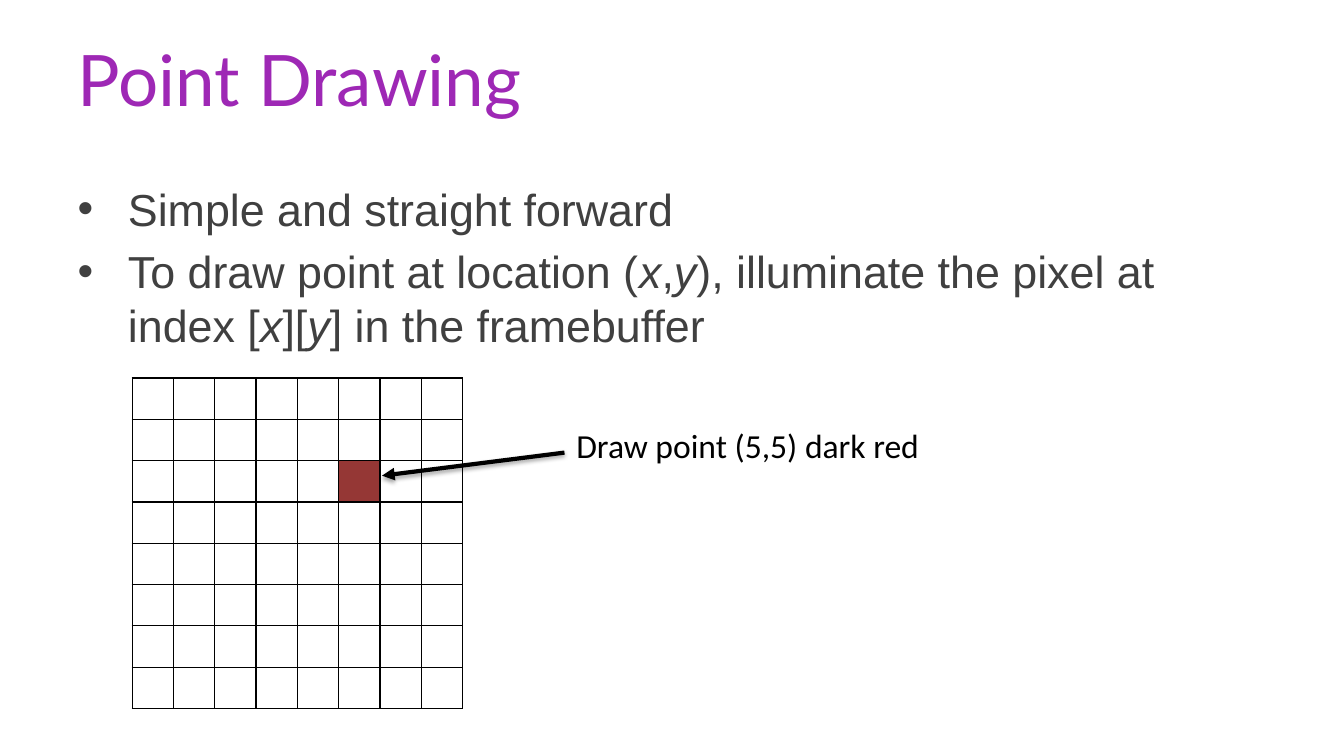
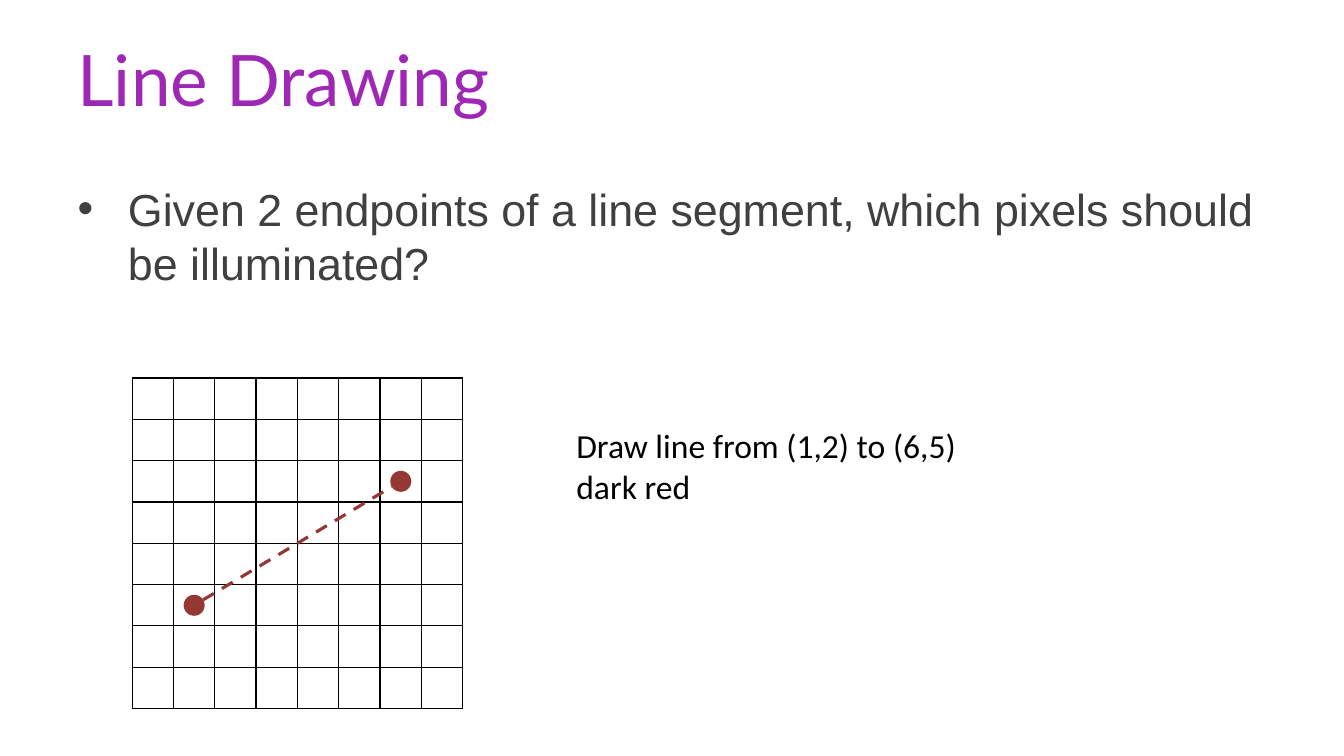
import math

from lxml import etree
from pptx import Presentation
from pptx.dml.color import RGBColor
from pptx.enum.dml import MSO_LINE
from pptx.enum.shapes import MSO_CONNECTOR, MSO_SHAPE
from pptx.enum.text import MSO_ANCHOR, MSO_AUTO_SIZE, PP_ALIGN
from pptx.oxml import parse_xml
from pptx.oxml.ns import nsdecls, qn
from pptx.util import Pt

STRAIGHT = MSO_CONNECTOR.STRAIGHT
OVAL = MSO_SHAPE.OVAL
DASH = MSO_LINE.DASH
TOP = MSO_ANCHOR.TOP
LEFT = PP_ALIGN.LEFT
NO_FIT = MSO_AUTO_SIZE.NONE
GROW = MSO_AUTO_SIZE.SHAPE_TO_FIT_TEXT

COLORS = {"title": "9E28B5", "body": "404040", "ink": "000000", "mark": "953735"}
FONTS = {"title": "Lato", "body": "Arial", "label": "Calibri"}
TITLE_BOX = (48.2, 21.6, 864, 90)
BODY_BOX = (48.2, 126, 864, 356.4)
INDENT = 36

GRID_LEFT, GRID_TOP = 94.4, 270
GRID_COUNT, CELL = 8, 29.52
DOT = 15


def rgb(name):
    return RGBColor.from_string(COLORS[name])


def pixel_row(y):
    """Table row of a pixel, as y counts up from the bottom."""
    return GRID_COUNT - 1 - y


def pixel_center(x, y):
    return GRID_LEFT + (x + 0.5) * CELL, GRID_TOP + (pixel_row(y) + 0.5) * CELL


class Deck:
    def __init__(self):
        self.presentation = Presentation()
        self.presentation.slide_width = Pt(960)
        self.presentation.slide_height = Pt(540)
        self.slide = None

    def add_slide(self, title, bullets):
        layout = self.presentation.slide_layouts[1]
        self.slide = self.presentation.slides.add_slide(layout)
        title_frame = self.place(self.slide.shapes.title, TITLE_BOX)
        title_frame.text = title
        paragraph = title_frame.paragraphs[0]
        paragraph.alignment = LEFT
        self.style_font(paragraph.runs[0].font, "title", 50.7, "title")

        body_frame = self.place(self.slide.placeholders[1], BODY_BOX)
        for index, text in enumerate(bullets):
            paragraph = body_frame.add_paragraph() if index else body_frame.paragraphs[0]
            self.bullet(paragraph, text)

    def place(self, placeholder, box):
        placeholder.left, placeholder.top, placeholder.width, placeholder.height = map(Pt, box)
        frame = placeholder.text_frame
        frame.vertical_anchor = TOP
        frame.auto_size = NO_FIT
        return frame

    def style_font(self, font, face, size, color):
        font.name = FONTS[face]
        font.size = Pt(size)
        font.color.rgb = rgb(color)

    def bullet(self, paragraph, text):
        """Fill a list paragraph; parts between asterisks are italic."""
        for index, part in enumerate(text.split("*")):
            run = paragraph.add_run()
            run.text = part
            run.font.italic = index % 2 == 1
            self.style_font(run.font, "body", 32, "body")
        paragraph.space_before = Pt(6.4)
        properties = paragraph._p.get_or_add_pPr()
        properties.set("marL", str(Pt(INDENT)))
        properties.set("indent", str(-Pt(INDENT)))
        etree.SubElement(properties, qn("a:buFont")).set("typeface", "Arial")
        etree.SubElement(properties, qn("a:buChar")).set("char", "•")

    def pixel_grid(self, lit=()):
        """Draw the framebuffer, with the (x, y) pixels in lit filled."""
        side = Pt(GRID_COUNT * CELL)
        table = self.slide.shapes.add_table(
            GRID_COUNT, GRID_COUNT, Pt(GRID_LEFT), Pt(GRID_TOP), side, side).table
        table.first_row = table.horz_banding = False
        for column in table.columns:
            column.width = Pt(CELL)
        for row in table.rows:
            row.height = Pt(CELL)
        for cell in table.iter_cells():
            self.cell_borders(cell)
            cell.fill.background()
        for x, y in lit:
            fill = table.cell(pixel_row(y), x).fill
            fill.solid()
            fill.fore_color.rgb = rgb("mark")

    def cell_borders(self, cell):
        properties = cell._tc.get_or_add_tcPr()
        for side in "LRTB":
            properties.append(parse_xml(
                f'<a:ln{side} {nsdecls("a")} w="{Pt(1)}"><a:solidFill>'
                f'<a:srgbClr val="{COLORS["ink"]}"/></a:solidFill></a:ln{side}>'))

    def dot(self, center):
        x, y = center
        shape = self.slide.shapes.add_shape(
            OVAL, Pt(x - DOT / 2), Pt(y - DOT / 2), Pt(DOT), Pt(DOT))
        shape.shadow.inherit = False
        shape.fill.solid()
        shape.fill.fore_color.rgb = rgb("mark")
        shape.line.fill.background()

    def line(self, start, end, color, width):
        connector = self.slide.shapes.add_connector(STRAIGHT, *map(Pt, (*start, *end)))
        connector.line.color.rgb = rgb(color)
        connector.line.width = Pt(width)
        effects = etree.SubElement(connector._element.spPr, qn("a:effectLst"))
        return connector, effects

    def arrow(self, start, end):
        """Draw a black arrow with a soft shadow below it."""
        connector, effects = self.line(start, end, "ink", 3)
        outline = connector.line._get_or_add_ln()
        etree.SubElement(outline, qn("a:tailEnd")).set("type", "triangle")
        effects.append(parse_xml(
            f'<a:outerShdw {nsdecls("a")} blurRad="{Pt(3.1)}" dist="{Pt(1.8)}" '
            f'dir="5400000" rotWithShape="0"><a:srgbClr val="{COLORS["ink"]}">'
            '<a:alpha val="35000"/></a:srgbClr></a:outerShdw>'))

    def segment(self, first, last):
        """Draw two dots and a dashed line between their edges."""
        start, end = pixel_center(*first), pixel_center(*last)
        ratio = DOT / 2 / math.dist(start, end)
        shift_x, shift_y = ((b - a) * ratio for a, b in zip(start, end))
        self.dot(end)
        self.dot(start)
        connector, _ = self.line((start[0] + shift_x, start[1] + shift_y),
                                 (end[0] - shift_x, end[1] - shift_y), "mark", 2.25)
        connector.line.dash_style = DASH

    def label(self, text, height):
        box = self.slide.shapes.add_textbox(Pt(404.6), Pt(300.2), Pt(320.4), Pt(height))
        frame = box.text_frame
        frame.word_wrap = True
        frame.auto_size = GROW
        frame.text = text
        self.style_font(frame.paragraphs[0].runs[0].font, "label", 24, "ink")


def main():
    deck = Deck()

    deck.add_slide("Point Drawing", [
        "Simple and straight forward",
        "To draw point at location (*x*,*y*), illuminate the pixel at "
        "index [*x*][*y*] in the framebuffer",
    ])
    deck.pixel_grid(lit=[(5, 5)])
    deck.arrow((403.2, 323.3), (272.9, 339.8))
    deck.label("Draw point (5,5) dark red", 36)

    deck.add_slide("Line Drawing", [
        "Given 2 endpoints of a line segment, which pixels should be illuminated?",
    ])
    deck.pixel_grid()
    deck.segment((1, 2), (6, 5))
    deck.label("Draw line from (1,2) to (6,5) dark red", 65.5)

    deck.presentation.save("out.pptx")


if __name__ == "__main__":
    main()
